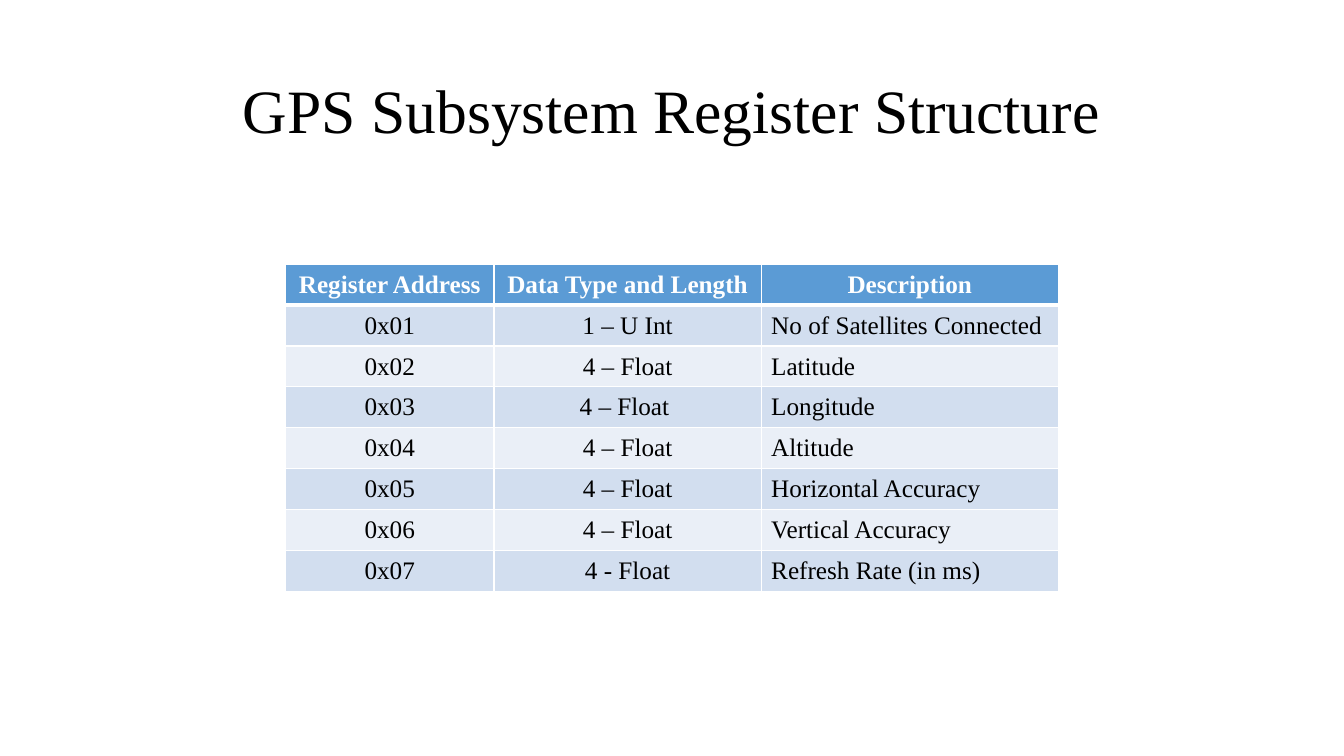
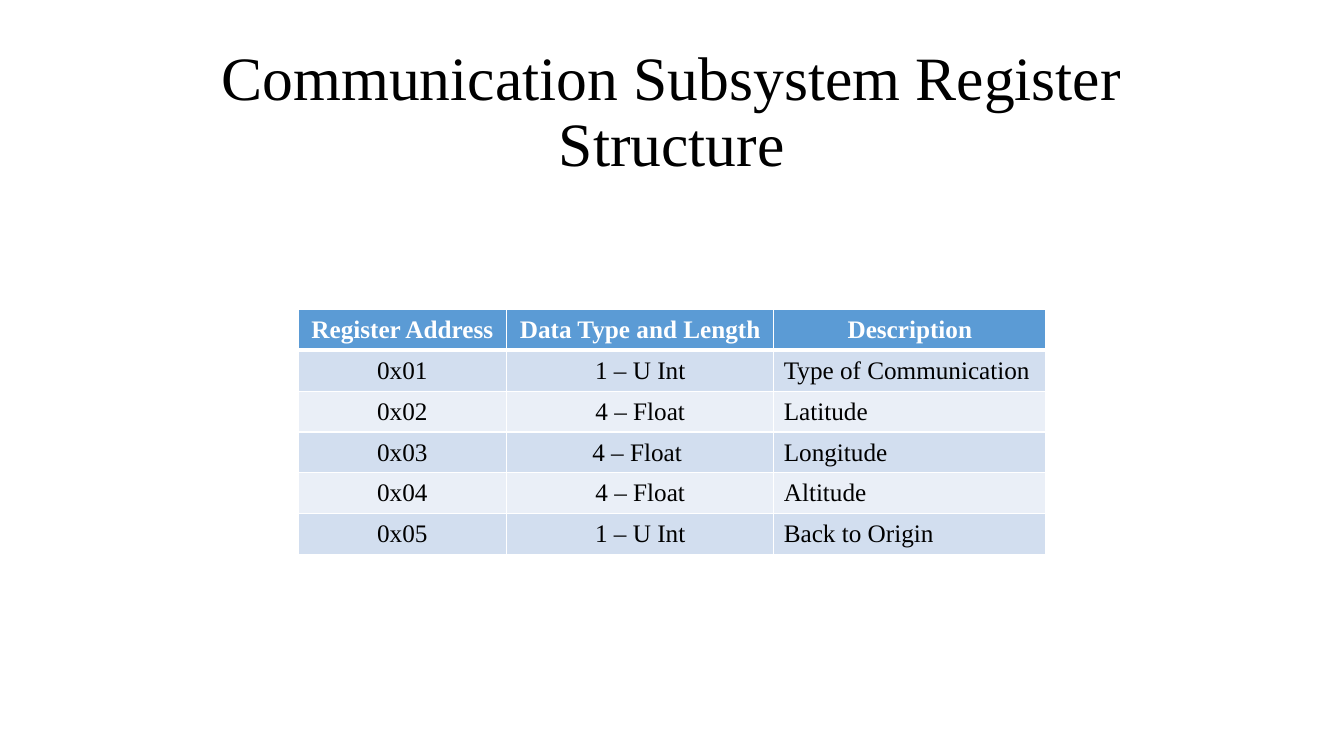
from dataclasses import dataclass

from lxml import etree
from pptx import Presentation
from pptx.dml.color import RGBColor
from pptx.enum import text
from pptx.oxml import ns
from pptx.util import Pt


@dataclass(frozen=True)
class Theme:
    font: str = "Times New Roman"
    title_size: float = 44
    cell_size: float = 18
    ink: str = "000000"
    paper: str = "FFFFFF"
    header: str = "5B9BD5"
    bands: tuple[str, str] = ("D2DEEF", "EAEFF7")
    rule: float = 1
    header_rule: float = 3


@dataclass(frozen=True)
class RegisterSlide:
    title: str
    top: float
    description_width: float
    rows: tuple[tuple[str, str, str], ...]


THEME = Theme()
SLIDE_W, SLIDE_H = 960, 540
TITLE_BOX = (66, 28.75, 828, 104.4)
ROW_H = 29.2
ADDRESS_W, TYPE_W = 149, 190.8
HEADINGS = ("Register Address", "Data Type and Length", "Description")
CENTER, LEFT = text.PP_ALIGN.CENTER, text.PP_ALIGN.LEFT
BODY_ALIGN = (CENTER, CENTER, LEFT)

SLIDES = (
    RegisterSlide("GPS Subsystem Register Structure", 188.75, 212.4, (
        ("0x01", "1 – U Int", "No of Satellites Connected"),
        ("0x02", "4 – Float", "Latitude"),
        ("0x03", "4 – Float ", "Longitude"),
        ("0x04", "4 – Float", "Altitude"),
        ("0x05", "4 – Float", "Horizontal Accuracy"),
        ("0x06", "4 – Float", "Vertical Accuracy"),
        ("0x07", "4 - Float", "Refresh Rate (in ms)"),
    )),
    RegisterSlide("Communication Subsystem Register Structure", 221, 194.4, (
        ("0x01", "1 – U Int", "Type of Communication"),
        ("0x02", "4 – Float", "Latitude"),
        ("0x03", "4 – Float ", "Longitude"),
        ("0x04", "4 – Float", "Altitude"),
        ("0x05", "1 – U Int", "Back to Origin"),
    )),
)


def add_text(tf, words: str, size: float, color: str, align, bold: bool = False):
    """Put one formatted run into the first paragraph and return the paragraph."""
    p = tf.paragraphs[0]
    p.alignment = align
    r = p.add_run()
    r.text = words
    r.font.name = THEME.font
    r.font.size = Pt(size)
    r.font.bold = bold
    r.font.color.rgb = RGBColor.from_string(color)
    return p


def set_title(s, words: str) -> None:
    sp = s.shapes.title
    sp.left, sp.top, sp.width, sp.height = map(Pt, TITLE_BOX)
    tf = sp.text_frame
    tf.word_wrap = True
    tf.auto_size = text.MSO_AUTO_SIZE.NONE
    tf.vertical_anchor = text.MSO_ANCHOR.MIDDLE
    add_text(tf, words, THEME.title_size, THEME.ink, CENTER).line_spacing = 0.9


def set_borders(cell, row: int) -> None:
    """Rule all four sides, with a thicker rule between header and body."""
    top = THEME.header_rule if row == 1 else THEME.rule
    bottom = THEME.header_rule if row == 0 else THEME.rule
    tc_pr = cell._tc.get_or_add_tcPr()
    for side, width in zip("LRTB", (THEME.rule, THEME.rule, top, bottom)):
        ln = etree.SubElement(tc_pr, ns.qn(f"a:ln{side}"), w=str(Pt(width)))
        fill = etree.SubElement(ln, ns.qn("a:solidFill"))
        etree.SubElement(fill, ns.qn("a:srgbClr"), val=THEME.paper)


def fill_cell(cell, row: int, col: int, words: str) -> None:
    is_header = row == 0
    set_borders(cell, row)
    cell.fill.solid()
    fill = THEME.header if is_header else THEME.bands[(row - 1) % 2]
    cell.fill.fore_color.rgb = RGBColor.from_string(fill)
    cell.vertical_anchor = text.MSO_ANCHOR.MIDDLE
    add_text(cell.text_frame, words, THEME.cell_size,
             THEME.paper if is_header else THEME.ink,
             CENTER if is_header else BODY_ALIGN[col], is_header)


def add_register_table(s, content: RegisterSlide) -> None:
    rows = (HEADINGS, *content.rows)
    widths = (ADDRESS_W, TYPE_W, content.description_width)
    width = sum(widths)
    table = s.shapes.add_table(
        len(rows), len(widths), Pt((SLIDE_W - width) / 2), Pt(content.top),
        Pt(width), Pt(ROW_H * len(rows))).table
    for column, w in zip(table.columns, widths):
        column.width = Pt(w)
    for i, row in enumerate(rows):
        table.rows[i].height = Pt(ROW_H)
        for j, words in enumerate(row):
            fill_cell(table.cell(i, j), i, j, words)


def main() -> None:
    prs = Presentation()
    prs.slide_width, prs.slide_height = Pt(SLIDE_W), Pt(SLIDE_H)
    title_only = prs.slide_layouts.get_by_name("Title Only")
    for content in SLIDES:
        s = prs.slides.add_slide(title_only)
        set_title(s, content.title)
        add_register_table(s, content)
    prs.save("out.pptx")


if __name__ == "__main__":
    main()
